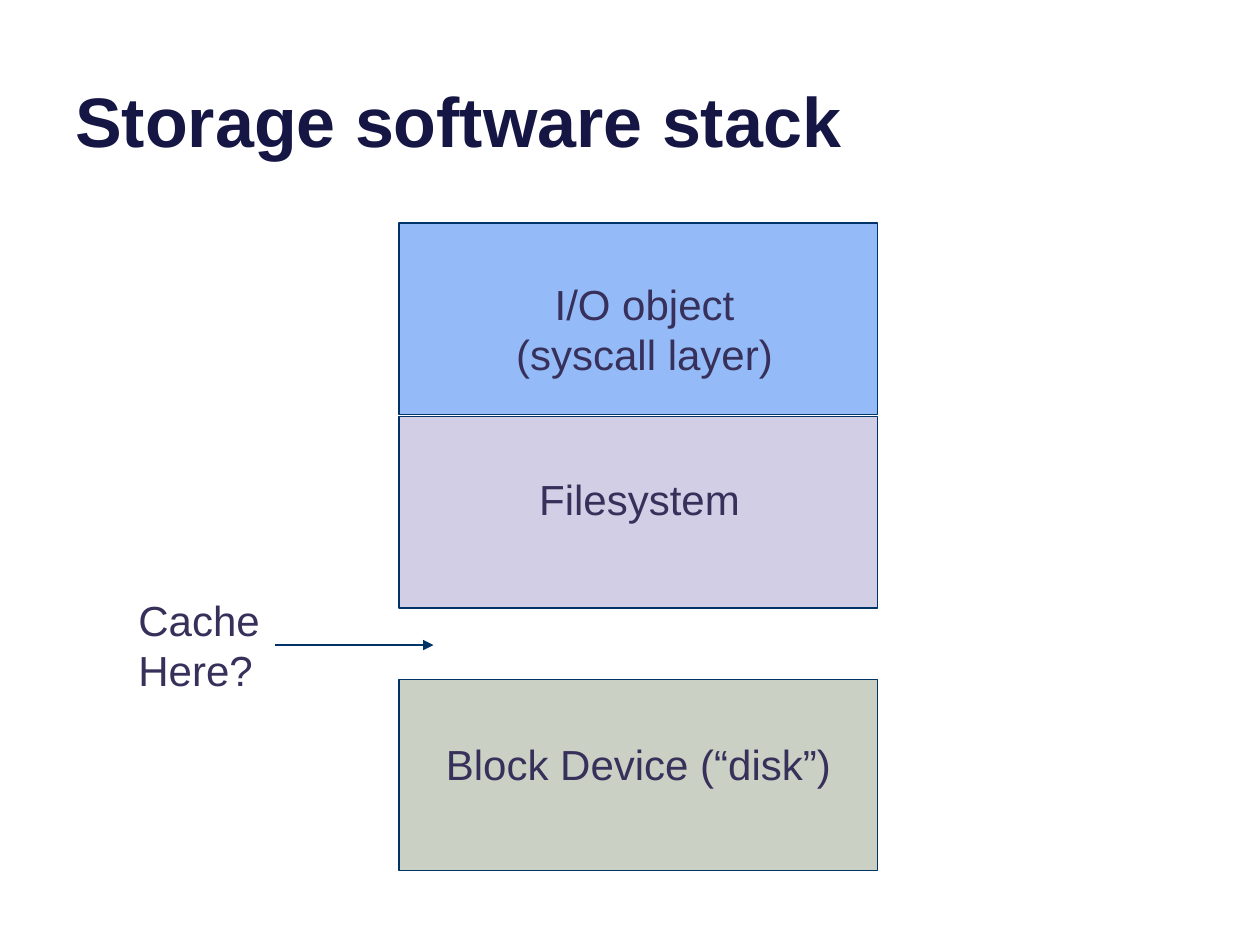
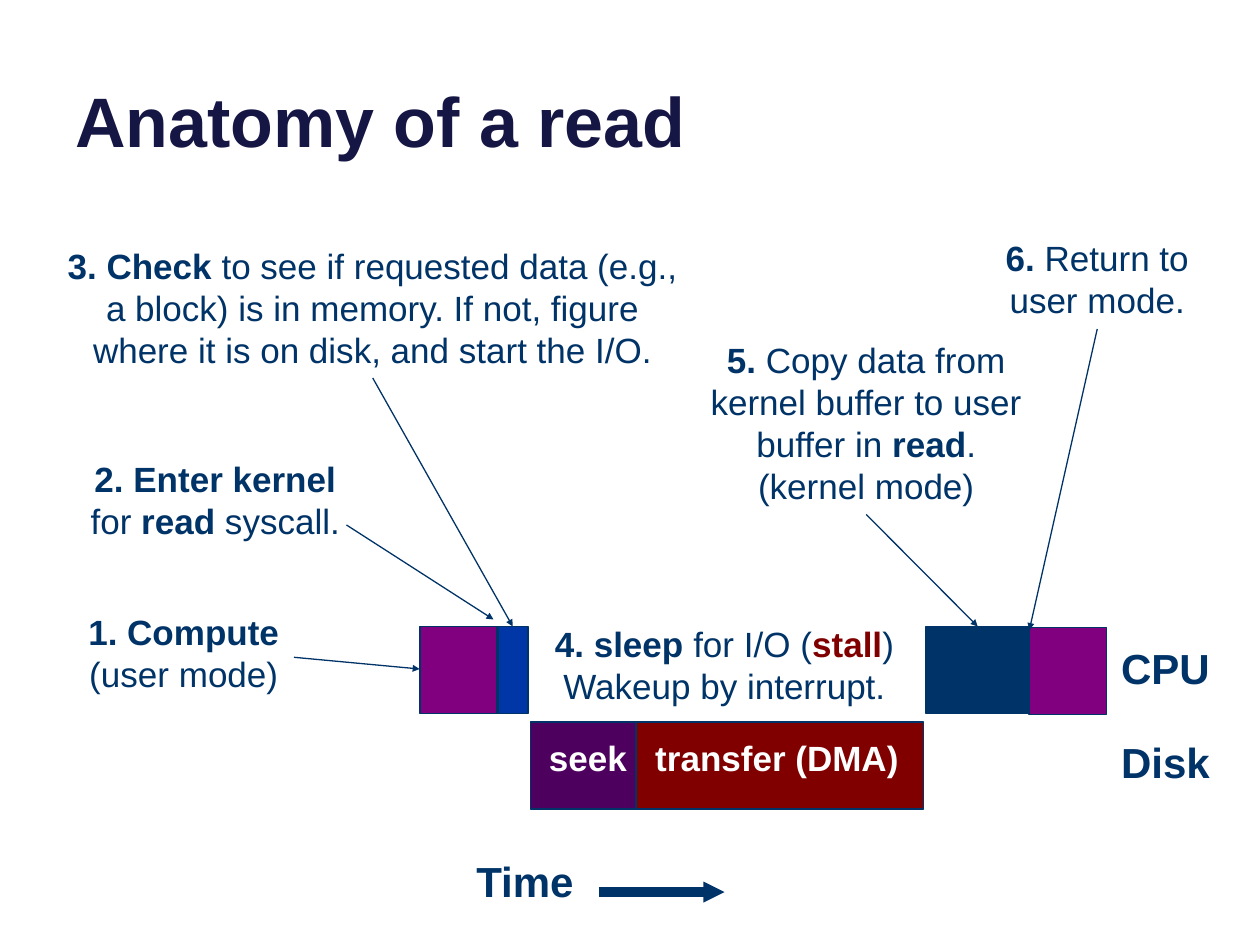
"""Build two slides on the storage stack and the anatomy of a read."""
import pptx
import pptx.dml.color
import pptx.enum.shapes
import pptx.enum.text
import pptx.oxml
import pptx.oxml.ns
import pptx.util
from lxml import etree

Pt = pptx.util.Pt
COLORS = {
    "title": "161645", "label": "37305A", "navy": "003367", "white": "FFFFFF",
    "sky": "94BAF7", "lavender": "D2CEE5", "sage": "CAD0C3",
    "user": "800080", "kernel": "0036A6", "seek": "4E005F", "red": "800000",
}
FONT = "Arial"


def rgb(name):
    return pptx.dml.color.RGBColor.from_string(COLORS[name])


def write(para, text, size=20, color="navy", alert=None, align="LEFT"):
    para.alignment = getattr(pptx.enum.text.PP_ALIGN, align)
    for index, part in enumerate(text.split("**")):
        if part:
            span = para.add_run()
            span.text = part
            span.font.name = FONT
            span.font.size = Pt(size)
            span.font.bold = index % 2 == 1
            span.font.color.rgb = rgb("red" if part == alert else color)


class Page:
    def __init__(self, deck, title):
        self.slide = deck.slides.add_slide(deck.slide_layouts[6])
        box = self.text(36, -26.6, 648, 122.4, f"**{title}**", size=40, color="title")
        box.text_frame.auto_size = pptx.enum.text.MSO_AUTO_SIZE.NONE
        box.text_frame.vertical_anchor = pptx.enum.text.MSO_ANCHOR.BOTTOM

    def text(self, left, top, width, height, text, wrap=True, **style):
        box = self.slide.shapes.add_textbox(Pt(left), Pt(top), Pt(width), Pt(height))
        frame = box.text_frame
        frame.word_wrap = wrap
        frame.auto_size = pptx.enum.text.MSO_AUTO_SIZE.SHAPE_TO_FIT_TEXT
        for index, line in enumerate(text.split("\n")):
            para = frame.add_paragraph() if index else frame.paragraphs[0]
            write(para, line, **style)
        return box

    def block(self, left, top, width, height, fill, weight=1):
        kind = pptx.enum.shapes.MSO_SHAPE.RECTANGLE
        shape = self.slide.shapes.add_shape(kind, Pt(left), Pt(top), Pt(width), Pt(height))
        shape.shadow.inherit = False
        shape.fill.solid()
        shape.fill.fore_color.rgb = rgb(fill)
        shape.line.color.rgb = rgb("navy")
        shape.line.width = Pt(weight)

    def arrow(self, start, end, weight=0.75, head="sm"):
        kind = pptx.enum.shapes.MSO_CONNECTOR.STRAIGHT
        line = self.slide.shapes.add_connector(kind, *map(Pt, (*start, *end)))
        line.line.color.rgb = rgb("navy")
        line.line.width = Pt(weight)
        properties = line._element.spPr
        etree.SubElement(line.line._get_or_add_ln(), pptx.oxml.ns.qn("a:tailEnd"),
                         type="triangle", w=head, len=head)
        etree.SubElement(properties, pptx.oxml.ns.qn("a:effectLst"))


def build_stack(deck):
    page = Page(deck, "Storage software stack")
    for top, fill in ((127.5, "sky"), (238.1, "lavender"), (388.1, "sage")):
        page.block(228, top, 273.6, 109.4, fill, weight=0.75)
    labels = (
        (283.7, 155.5, 169.2, 65.5, "I/O object\n(syscall layer)", "CENTER"),
        (301, 267.1, 130.3, 36, "Filesystem", "LEFT"),
        (247.7, 418.3, 236.9, 36, "Block Device (“disk”)", "LEFT"),
        (72, 336.2, 85, 65.5, "Cache\nHere?", "LEFT"),
    )
    for left, top, width, height, text, align in labels:
        page.text(left, top, width, height, text, wrap=False, size=24, color="label", align=align)
    page.arrow((157, 368.6), (247.7, 368.6), head="med")


def build_read(deck):
    page = Page(deck, "Anatomy of a read")
    cpu, disk, height = 358, 412.6, 49.7
    bars = (
        (284.4, cpu, 17.3, "kernel"), (239.8, cpu, 44.2, "user"),
        (303.1, disk, 60.5, "seek"), (363.6, disk, 164.2, "red"),
        (529.2, cpu, 59, "navy"), (588.2, cpu + 0.6, 44.2, "user"),
    )
    for left, top, width, fill in bars:
        page.block(left, top, width, height, fill)
    steps = (
        (24, 345.6, 162, 55.4, "**1. Compute**\n(user mode)"),
        (42, 257.8, 162, 55.4, "**2. Enter kernel** for **read** syscall."),
        (30, 136, 366, 80, "**3. Check** to see if requested data (e.g., a block) is in memory. "
                           "If not, figure where it is on disk, and start the I/O."),
        (306, 352.1, 216, 55.4, "**4. sleep** for I/O (**stall**)\nWakeup by interrupt."),
        (390, 190, 210, 104.4, "**5.** Copy data from kernel buffer to user buffer in **read**."
                               "\n(kernel mode)"),
        (546, 131.8, 162, 55.4, "**6.** Return to user mode."),
    )
    for step in steps:
        page.text(*step, alert="stall", align="CENTER")
    for left, width, text in ((288, 96, "seek"), (366, 156, "transfer (DMA)")):
        page.text(left, 417.6, width, 31.7, f"**{text}**", color="white", align="CENTER")
    for left, top, text in ((612, 363.6, "CPU"), (612, 417.6, "Disk"), (246, 485.3, "Time")):
        page.text(left, top, 108, 36.4, f"**{text}**", size=24, align="CENTER")
    pointers = (
        ((168, 375.6), (239.8, 382.3)), ((198, 300), (282, 354)),
        ((213, 216), (293, cpu)), ((495, 294), (558.7, cpu)), ((627, 188), (588.2, 360)),
    )
    for start, end in pointers:
        page.arrow(start, end)
    page.arrow((342, 509.8), (414, 509.8), weight=6)


def main():
    deck = pptx.Presentation()
    deck.slide_width, deck.slide_height = Pt(720), Pt(540)
    build_stack(deck)
    build_read(deck)
    deck.save("out.pptx")


if __name__ == "__main__":
    main()
